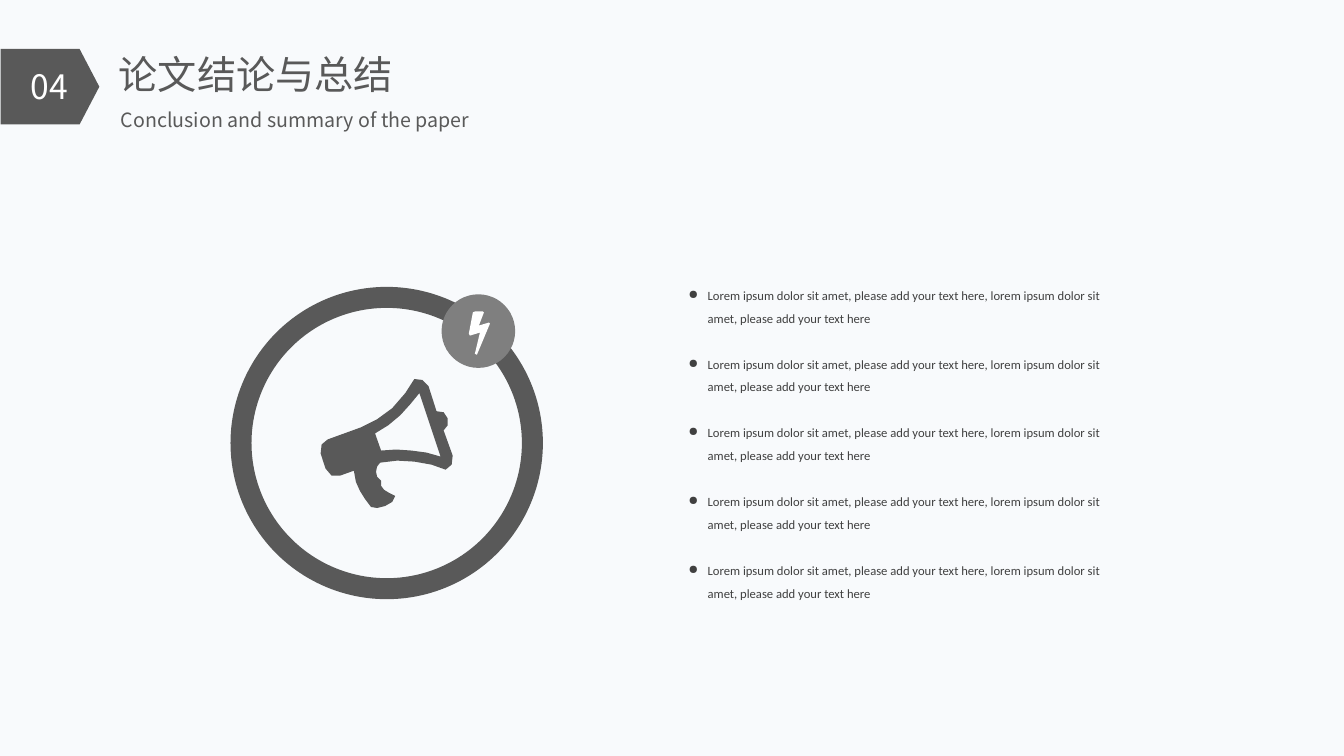
from dataclasses import dataclass

from lxml.etree import SubElement
from pptx import Presentation
from pptx.dml.color import RGBColor
from pptx.enum.shapes import MSO_SHAPE
from pptx.enum.text import MSO_AUTO_SIZE, PP_ALIGN
from pptx.oxml.ns import qn
from pptx.util import Inches, Pt


@dataclass(frozen=True)
class Theme:
    background: str = "F8FAFC"
    dark: str = "595959"
    badge: str = "7F7F7F"
    body: str = "404040"
    white: str = "FFFFFF"
    heading_font: str = "Noto Sans CJK SC"
    body_font: str = "Calibri"
    title_size: int = 28
    number_size: int = 24
    subtitle_size: int = 14
    body_size: int = 9
    ring_width: int = 15


T = Theme()
ITEM = ("Lorem ipsum dolor sit amet, please add your text here, "
        "lorem ipsum dolor sit amet, please add your text here")
ITEM_COUNT = 5

# Icon outlines, in hundredths of an inch from the icon's top left corner
MEGAPHONE = [
    [(127, 40), (127, 47), (123, 52), (132, 77), (131, 86), (125, 91), (111, 86),
     (94, 83), (77, 82), (60, 84), (57, 88), (56, 93), (57, 98), (61, 102),
     (61, 107), (64, 111), (69, 114), (75, 117), (72, 123), (65, 127), (57, 129),
     (51, 128), (45, 120), (40, 112), (36, 103), (34, 92), (20, 97), (12, 97),
     (6, 90), (1, 75), (2, 66), (8, 61), (41, 49), (57, 41), (72, 30), (85, 15),
     (94, 1), (102, 2), (108, 8), (116, 33), (123, 34)],
    [(99, 15), (90, 26), (80, 37), (68, 47), (55, 55), (61, 72), (76, 71),
     (91, 72), (106, 74), (120, 78)],
]
BOLT = [[(20, 11), (21, 12), (8, 43), (6, 42), (11, 21), (1, 24), (0, 22),
         (4, 1), (6, 0), (14, 0), (15, 1), (10, 14)]]


def add_text(s, text, x, y, w, h, *, size, color, font=T.heading_font,
             align=PP_ALIGN.LEFT, spacing=None, bullet=None, indent=0):
    tf = s.shapes.add_textbox(Inches(x), Inches(y), Inches(w), Inches(h)).text_frame
    tf.word_wrap = True
    tf.auto_size = MSO_AUTO_SIZE.SHAPE_TO_FIT_TEXT
    p = tf.paragraphs[0]
    p.alignment = align
    p.line_spacing = spacing
    if bullet:
        pPr = p._p.get_or_add_pPr()
        pPr.set("marL", str(Inches(indent)))
        pPr.set("indent", str(-Inches(indent)))
        SubElement(pPr, qn("a:buChar")).set("char", bullet)
    r = p.add_run()
    r.text = text
    r.font.size = Pt(size)
    r.font.name = font
    r.font.color.rgb = RGBColor.from_string(color)
    SubElement(r._r.get_or_add_rPr(), qn("a:ea")).set("typeface", font)


def paint(sp, fill=None, line=None, width=0):
    sp.shadow.inherit = False
    if fill:
        sp.fill.solid()
        sp.fill.fore_color.rgb = RGBColor.from_string(fill)
    else:
        sp.fill.background()
    if line:
        sp.line.color.rgb = RGBColor.from_string(line)
        sp.line.width = Pt(width)
    else:
        sp.line.fill.background()


def add_preset(s, kind, x, y, w, h, **style):
    sp = s.shapes.add_shape(kind, Inches(x), Inches(y), Inches(w), Inches(h))
    paint(sp, **style)
    return sp


def add_icon(s, contours, x, y, fill):
    first, *others = contours
    builder = s.shapes.build_freeform(*first[0], scale=Inches(0.01))
    builder.add_line_segments(first[1:], close=True)
    for contour in others:
        builder.move_to(*contour[0])
        builder.add_line_segments(contour[1:], close=True)
    paint(builder.convert_to_shape(Inches(x), Inches(y)), fill=fill)


def add_header(s, x, y):
    # Section tag pointing right
    tag = add_preset(s, MSO_SHAPE.FLOWCHART_OFFPAGE_CONNECTOR,
                     x + 0.12, y - 0.11, 0.75, 0.98, fill=T.dark)
    tag.rotation = 270
    add_text(s, "04", x - 0.12, y + 0.12, 1.22, 0.5, size=T.number_size,
             color=T.white, align=PP_ALIGN.CENTER)
    # Title and subtitle
    add_text(s, "论文结论与总结", x + 1.08, y - 0.03, 3.29, 0.57,
             size=T.title_size, color=T.dark)
    add_text(s, "Conclusion and summary of the paper", x + 1.1, y + 0.42, 3.95, 0.41,
             size=T.subtitle_size, color=T.dark, spacing=1.5)


def add_emblem(s, x, y, size):
    add_icon(s, MEGAPHONE, x + 0.78, y + 0.8, T.dark)
    add_preset(s, MSO_SHAPE.OVAL, x, y, size, size, line=T.dark, width=T.ring_width)
    # Badge on the ring
    add_preset(s, MSO_SHAPE.OVAL, x + 1.99, y - 0.03, 0.73, 0.73, fill=T.badge)
    add_icon(s, BOLT, x + 2.26, y + 0.14, T.white)


def add_bullets(s, x, y, w, h):
    row_height = 0.45
    pitch = (h - row_height) / (ITEM_COUNT - 1)
    for i in range(ITEM_COUNT):
        add_text(s, ITEM, x, y + i * pitch, w, row_height, size=T.body_size,
                 color=T.body, font=T.body_font, spacing=1.5, bullet="●", indent=0.19)


def main():
    prs = Presentation()
    prs.slide_width, prs.slide_height = Inches(13.33), Inches(7.5)
    s = prs.slides.add_slide(prs.slide_layouts[6])
    s.background.fill.solid()
    s.background.fill.fore_color.rgb = RGBColor.from_string(T.background)
    add_header(s, 0, 0.48)
    add_emblem(s, 2.39, 2.95, 2.89)
    add_bullets(s, 6.73, 2.73, 4.35, 3.18)
    prs.save("out.pptx")


if __name__ == "__main__":
    main()
